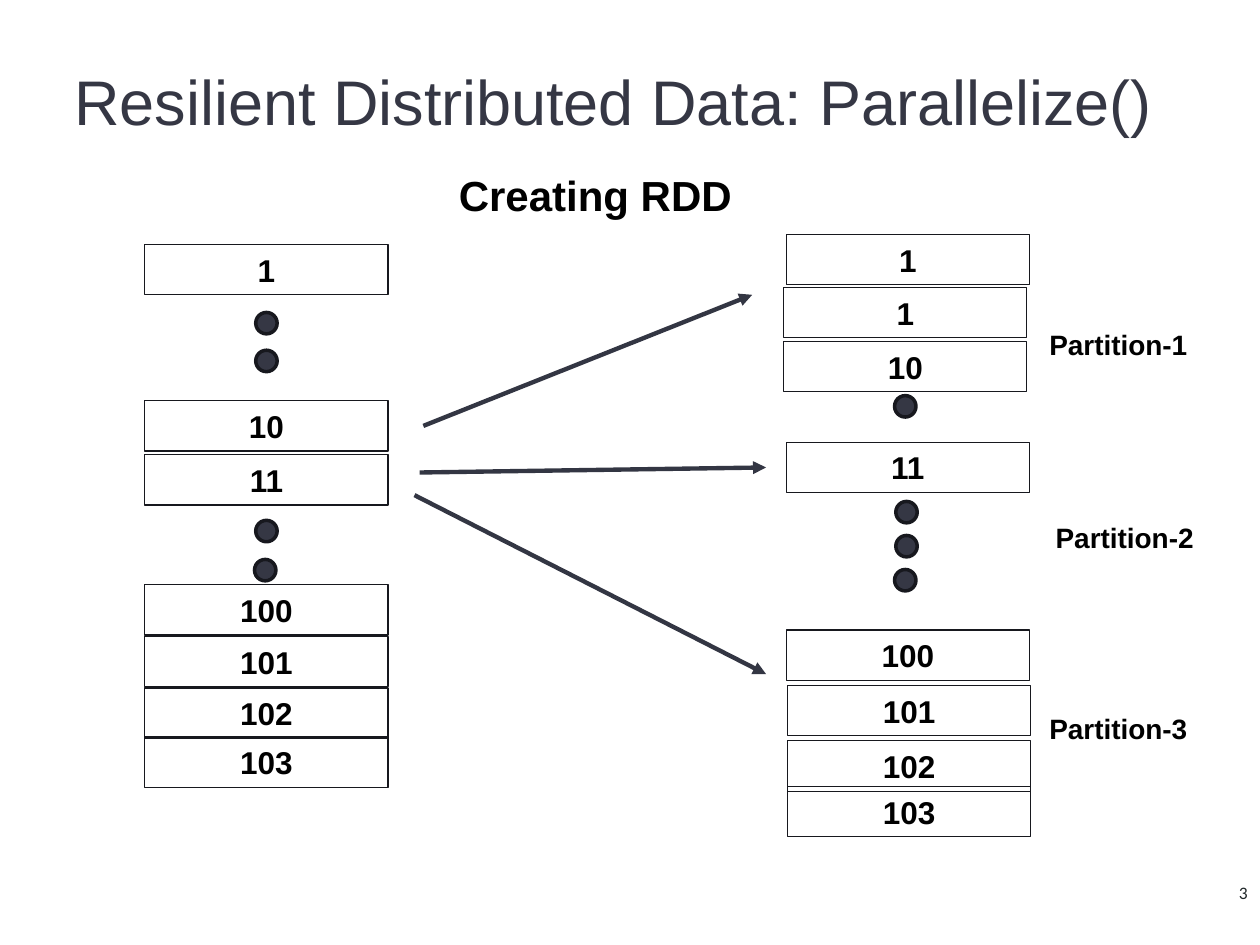
from dataclasses import dataclass

from lxml.etree import SubElement
from pptx import Presentation
from pptx.dml.color import RGBColor
from pptx.enum.shapes import MSO_CONNECTOR as Connector, MSO_SHAPE as Shape
from pptx.enum.text import MSO_ANCHOR as Anchor, PP_ALIGN as Align
from pptx.oxml.ns import qn
from pptx.util import Inches, Pt


@dataclass(frozen=True)
class Theme:
    font: str = "Arial"
    number_font: str = "Calibri"
    title_color: RGBColor = RGBColor(0x35, 0x37, 0x44)
    dot_color: RGBColor = RGBColor(0x35, 0x37, 0x44)
    arrow_color: RGBColor = RGBColor(0x33, 0x36, 0x43)
    outline_color: RGBColor = RGBColor(0x17, 0x18, 0x1E)
    number_color: RGBColor = RGBColor(0x20, 0x27, 0x29)
    text_color: RGBColor = RGBColor(0, 0, 0)
    title_size: int = 36
    heading_size: int = 24
    cell_size: int = 18
    label_size: int = 16
    number_size: int = 10


@dataclass(frozen=True)
class Cell:
    text: str
    left: float
    top: float


@dataclass(frozen=True)
class Dot:
    left: float
    top: float


@dataclass(frozen=True)
class Arrow:
    start: tuple[float, float]
    end: tuple[float, float]


@dataclass(frozen=True)
class Label:
    text: str
    left: float
    top: float
    width: float
    height: float
    size: int
    color: RGBColor = Theme.text_color
    font: str = Theme.font
    bold: bool = True
    align: Align = Align.LEFT
    anchor: Anchor = Anchor.TOP
    margin: float = 0.05


THEME = Theme()
CELL_WIDTH, CELL_HEIGHT = 1.93, 0.4
DOT_SIZE = 0.17
LIST_LEFT, PARTITION_LEFT = 1.15, 6.24

CELLS = [
    # Source list
    Cell("1", LIST_LEFT, 1.94),
    Cell("10", LIST_LEFT, 3.18),
    Cell("11", LIST_LEFT, 3.61),
    *(Cell(str(100 + i), LIST_LEFT, 4.64 + 0.41 * i) for i in range(3)),
    Cell("103", LIST_LEFT, 5.85),
    # Partition 1
    Cell("1", PARTITION_LEFT, 1.86),
    Cell("1", PARTITION_LEFT - 0.02, 2.28),
    Cell("10", PARTITION_LEFT - 0.02, 2.71),
    # Partition 2
    Cell("11", PARTITION_LEFT, 3.51),
    # Partition 3
    Cell("100", PARTITION_LEFT, 5.0),
    Cell("101", PARTITION_LEFT + 0.01, 5.44),
    Cell("102", PARTITION_LEFT + 0.01, 5.88),
    Cell("103", PARTITION_LEFT + 0.01, 6.24),
]

DOTS = [
    *(Dot(2.03, top) for top in (2.48, 2.78, 4.13)),
    Dot(2.02, 4.44),
    Dot(7.1, 3.14),
    *(Dot(7.11, top) for top in (3.98, 4.25)),
    Dot(7.1, 4.52),
]

ARROWS = [
    Arrow((3.36, 3.38), (5.97, 2.34)),
    Arrow((3.33, 3.75), (6.08, 3.71)),
    Arrow((3.29, 3.93), (6.08, 5.35)),
]

TITLE = Label("Resilient Distributed Data: Parallelize()", 0.24, 0.2, 9.04, 1.2,
              THEME.title_size, THEME.title_color, bold=False,
              anchor=Anchor.MIDDLE, margin=0.1)
LABELS = [
    Label("Creating RDD", 3.36, 1.3, 2.73, 0.5, THEME.heading_size, align=Align.CENTER),
    *(Label(f"Partition-{number}", left, top, 1.31, 0.37, THEME.label_size)
      for number, (left, top) in enumerate([(8.23, 2.55), (8.28, 4.08), (8.23, 5.6)], 1)),
    Label("3", 9.4, 6.8, 0.6, 0.57, THEME.number_size, THEME.number_color,
          THEME.number_font, False, Align.RIGHT, Anchor.MIDDLE, 0.1),
]


def format_text(paragraph, font: str, size: int, color: RGBColor, bold: bool) -> None:
    for run in paragraph.runs:
        run.font.name = font
        run.font.size = Pt(size)
        run.font.color.rgb = color
        run.font.bold = bold


def add_label(slide, label: Label):
    box = slide.shapes.add_textbox(Inches(label.left), Inches(label.top),
                                   Inches(label.width), Inches(label.height))
    text_frame = box.text_frame
    text_frame.word_wrap = True
    text_frame.vertical_anchor = label.anchor
    text_frame.margin_top = text_frame.margin_bottom = Inches(label.margin)
    text_frame.text = label.text
    paragraph = text_frame.paragraphs[0]
    paragraph.alignment = label.align
    format_text(paragraph, label.font, label.size, label.color, label.bold)
    return paragraph


def add_title(slide, label: Label) -> None:
    paragraph = add_label(slide, label)
    paragraph.space_before = Pt(6.4)
    properties = paragraph._p.get_or_add_pPr()
    properties.set("marL", str(Inches(0.5)))
    properties.set("indent", str(Inches(-0.25)))


def add_cell(slide, cell: Cell) -> None:
    shape = slide.shapes.add_shape(Shape.RECTANGLE, Inches(cell.left), Inches(cell.top),
                                   Inches(CELL_WIDTH), Inches(CELL_HEIGHT))
    shape.shadow.inherit = False
    shape.fill.background()
    shape.line.color.rgb = THEME.outline_color
    shape.line.width = Pt(0.75)
    shape.text_frame.text = cell.text
    paragraph = shape.text_frame.paragraphs[0]
    paragraph.alignment = Align.CENTER
    format_text(paragraph, THEME.font, THEME.cell_size, THEME.text_color, True)


def add_dot(slide, dot: Dot) -> None:
    shape = slide.shapes.add_shape(Shape.OVAL, Inches(dot.left), Inches(dot.top),
                                   Inches(DOT_SIZE), Inches(DOT_SIZE))
    shape.shadow.inherit = False
    shape.fill.solid()
    shape.fill.fore_color.rgb = THEME.dot_color
    shape.line.color.rgb = THEME.outline_color
    shape.line.width = Pt(2)


def add_arrow(slide, arrow: Arrow) -> None:
    points = [Inches(value) for value in (*arrow.start, *arrow.end)]
    connector = slide.shapes.add_connector(Connector.STRAIGHT, *points)
    connector.line.color.rgb = THEME.arrow_color
    connector.line.width = Pt(2.5)
    SubElement(connector.line._get_or_add_ln(), qn("a:tailEnd"), type="triangle")
    SubElement(connector._element.spPr, qn("a:effectLst"))


def main() -> None:
    presentation = Presentation()
    presentation.slide_width, presentation.slide_height = Inches(10), Inches(7.5)
    slide = presentation.slides.add_slide(presentation.slide_layouts[6])

    # Title, heading, partition names and page number
    add_title(slide, TITLE)
    for label in LABELS:
        add_label(slide, label)

    # List and partition contents
    for cell in CELLS:
        add_cell(slide, cell)
    for dot in DOTS:
        add_dot(slide, dot)

    # Distribution of the list over the partitions
    for arrow in ARROWS:
        add_arrow(slide, arrow)

    presentation.save("out.pptx")


if __name__ == "__main__":
    main()
